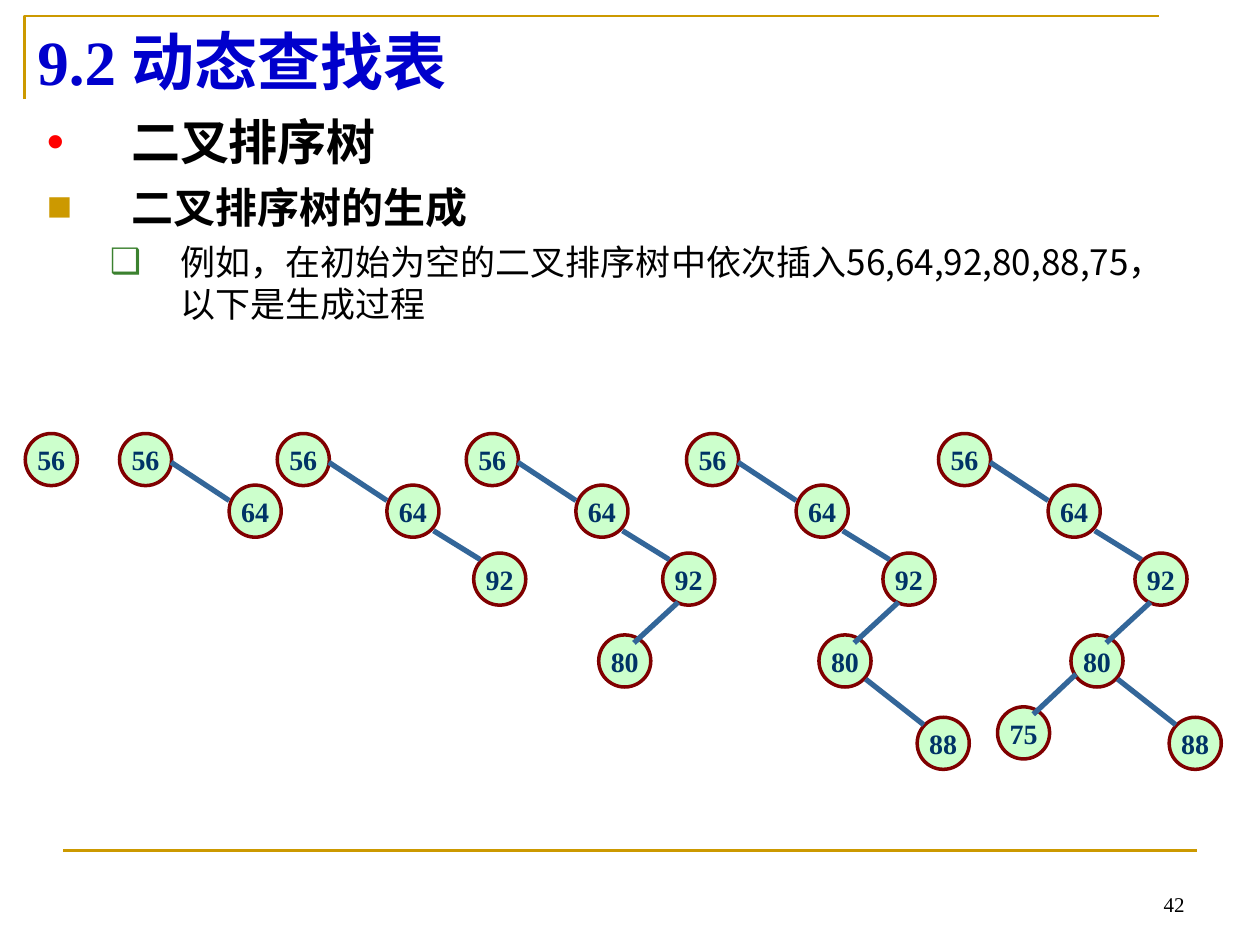
from lxml.etree import SubElement
from pptx import Presentation
from pptx.dml.color import RGBColor
from pptx.enum.shapes import MSO_CONNECTOR, MSO_SHAPE
from pptx.enum.text import MSO_ANCHOR, MSO_AUTO_SIZE, PP_ALIGN
from pptx.oxml.ns import qn
from pptx.util import Cm, Pt

BLACK = RGBColor(0x00, 0x00, 0x00)
TITLE_BLUE = RGBColor(0x00, 0x00, 0xCC)
GOLD = RGBColor(0xCC, 0x99, 0x00)
RED = RGBColor(0xFF, 0x00, 0x00)
GREEN = RGBColor(0x3B, 0x81, 0x2F)
NODE_FILL = RGBColor(0xCC, 0xFF, 0xCC)
NODE_BORDER = RGBColor(0x80, 0x00, 0x00)
KEY_COLOR = RGBColor(0x00, 0x33, 0x66)
EDGE_COLOR = RGBColor(0x33, 0x66, 0x99)
SERIF = "Times New Roman"
SANS = "Noto Sans CJK SC"

NODE_SIZE = 1.05
TREE_TOP = 8.74
TREE_LEFTS = [0.51, 2.41, 5.59, 9.4, 13.84, 18.92]
INSERTIONS = [
    ("56", (0, 0), None),
    ("64", (2.21, 1.04), (1.04, 0.58, 2.21, 1.35)),
    ("92", (3.96, 2.41), (3.15, 1.96, 4.09, 2.54)),
    ("80", (2.67, 4.06), (4.27, 3.4, 3.38, 4.22)),
    ("88", (4.65, 5.72), (3.61, 4.95, 4.78, 5.87)),
    ("75", (1.19, 5.51), (2.77, 4.85, 1.91, 5.66)),
]
OUTLINE = [
    ("二叉排序树", 0, 28, True, 0, "•", RED, 1.7, 1.7),
    ("二叉排序树的生成", 0, 24, True, 6, "■", GOLD, 1.7, 1.7),
    ("例如，在初始为空的二叉排序树中依次插入56,64,92,80,88,75，以下是生成过程",
     1, 20, False, 5, "❑", GREEN, 2.69, 1.42),
]


def set_font(paragraph, latin, size, color, bold=False):
    """Set the paragraph's Latin and East Asian fonts, size and colour."""
    font = paragraph.font
    font.size, font.bold, font.name = Pt(size), bold, latin
    font.color.rgb = color
    east_asian = SubElement(font._element, qn("a:ea"))
    east_asian.set("typeface", SANS)


def set_bullet(paragraph, char, color, margin, hanging):
    """Give the paragraph a coloured bullet and a hanging indent."""
    props = paragraph._p.get_or_add_pPr()
    props.set("marL", str(Cm(margin)))
    props.set("indent", str(-Cm(hanging)))
    bullet_color = SubElement(props, qn("a:buClr"))
    SubElement(bullet_color, qn("a:srgbClr")).set("val", str(color))
    SubElement(props, qn("a:buSzPct")).set("val", "100000")
    SubElement(props, qn("a:buFont")).set("typeface", "Arial")
    SubElement(props, qn("a:buChar")).set("char", char)


def place(shape, left, top, width, height):
    """Move and size a shape in centimetres."""
    shape.left, shape.top = Cm(left), Cm(top)
    shape.width, shape.height = Cm(width), Cm(height)


def add_line(slide, start, end, color, width):
    """Draw a straight line without a shadow."""
    line = slide.shapes.add_connector(
        MSO_CONNECTOR.STRAIGHT, *(Cm(v) for v in (*start, *end)))
    line.line.color.rgb = color
    line.line.width = Pt(width)
    SubElement(line._element.spPr, qn("a:effectLst"))


def add_title(slide, left, top, width, height):
    """Fill the title and draw the gold bracket around its corner."""
    builder = slide.shapes.build_freeform(Cm(left), Cm(top + 1.68))
    builder.add_line_segments(
        [(Cm(left), Cm(top)), (Cm(left + width), Cm(top))], close=False)
    bracket = builder.convert_to_shape()
    bracket.shadow.inherit = False
    bracket.fill.background()
    bracket.line.color.rgb = GOLD
    bracket.line.width = Pt(1.5)

    title = slide.shapes.title
    place(title, left, top, width, height)
    frame = title.text_frame
    frame.text = "9.2 动态查找表"
    frame.auto_size = MSO_AUTO_SIZE.NONE
    frame.vertical_anchor = MSO_ANCHOR.MIDDLE
    heading = frame.paragraphs[0]
    heading.alignment = PP_ALIGN.LEFT
    set_font(heading, SERIF, 36, TITLE_BLUE, True)


def add_outline(slide, left, top, width, height):
    """Fill the body with the bulleted outline."""
    body = slide.placeholders[1]
    place(body, left, top, width, height)
    frame = body.text_frame
    frame.auto_size = MSO_AUTO_SIZE.NONE
    frame.vertical_anchor = MSO_ANCHOR.TOP
    for index, (text, level, size, bold, before, char, color, margin, hanging) in enumerate(OUTLINE):
        item = frame.add_paragraph() if index else frame.paragraphs[0]
        item.text = text
        item.level = level
        set_bullet(item, char, color, margin, hanging)
        item.space_before = Pt(before)
        item.line_spacing = Pt(size * 1.2)
        set_font(item, SANS, size, BLACK, bold)


def add_node(slide, key, left, top):
    """Draw one tree node with its key."""
    node = slide.shapes.add_shape(
        MSO_SHAPE.OVAL, Cm(left), Cm(top), Cm(NODE_SIZE), Cm(NODE_SIZE))
    node.shadow.inherit = False
    node.fill.solid()
    node.fill.fore_color.rgb = NODE_FILL
    node.line.color.rgb = NODE_BORDER
    node.line.width = Pt(2)
    frame = node.text_frame
    frame.text = key
    frame.word_wrap = False
    frame.vertical_anchor = MSO_ANCHOR.MIDDLE
    label = frame.paragraphs[0]
    label.alignment = PP_ALIGN.CENTER
    set_font(label, SERIF, 16, KEY_COLOR, True)


def add_tree(slide, left, top, count):
    """Draw the search tree after the first count insertions."""
    for key, (dx, dy), edge in INSERTIONS[:count]:
        add_node(slide, key, left + dx, top + dy)
        if edge:
            x1, y1, x2, y2 = edge
            add_line(slide, (left + x1, top + y1), (left + x2, top + y2), EDGE_COLOR, 3)


def add_footer(slide, left, top, width):
    """Draw the footer rule with the page number below its right end."""
    add_line(slide, (left, top), (left + width, top), GOLD, 1.5)
    number_width = 5.92
    number = slide.shapes.add_textbox(
        Cm(left + width - number_width), Cm(top + 0.2), Cm(number_width), Cm(1.27))
    frame = number.text_frame
    frame.text = "42"
    frame.word_wrap = True
    frame.vertical_anchor = MSO_ANCHOR.BOTTOM
    page = frame.paragraphs[0]
    page.alignment = PP_ALIGN.RIGHT
    set_font(page, SERIF, 12, BLACK)


def main():
    """Build the slide and save it."""
    deck = Presentation()
    deck.slide_width, deck.slide_height = Cm(25.4), Cm(19.05)
    slide = deck.slides.add_slide(deck.slide_layouts[1])
    add_title(slide, 0.5, 0.32, 22.86, 1.8)
    add_outline(slide, 0.69, 2.13, 23.22, 14.6)
    for count, left in enumerate(TREE_LEFTS, start=1):
        add_tree(slide, left, TREE_TOP, count)
    add_footer(slide, 1.27, 17.14, 22.86)
    deck.save("out.pptx")


if __name__ == "__main__":
    main()
